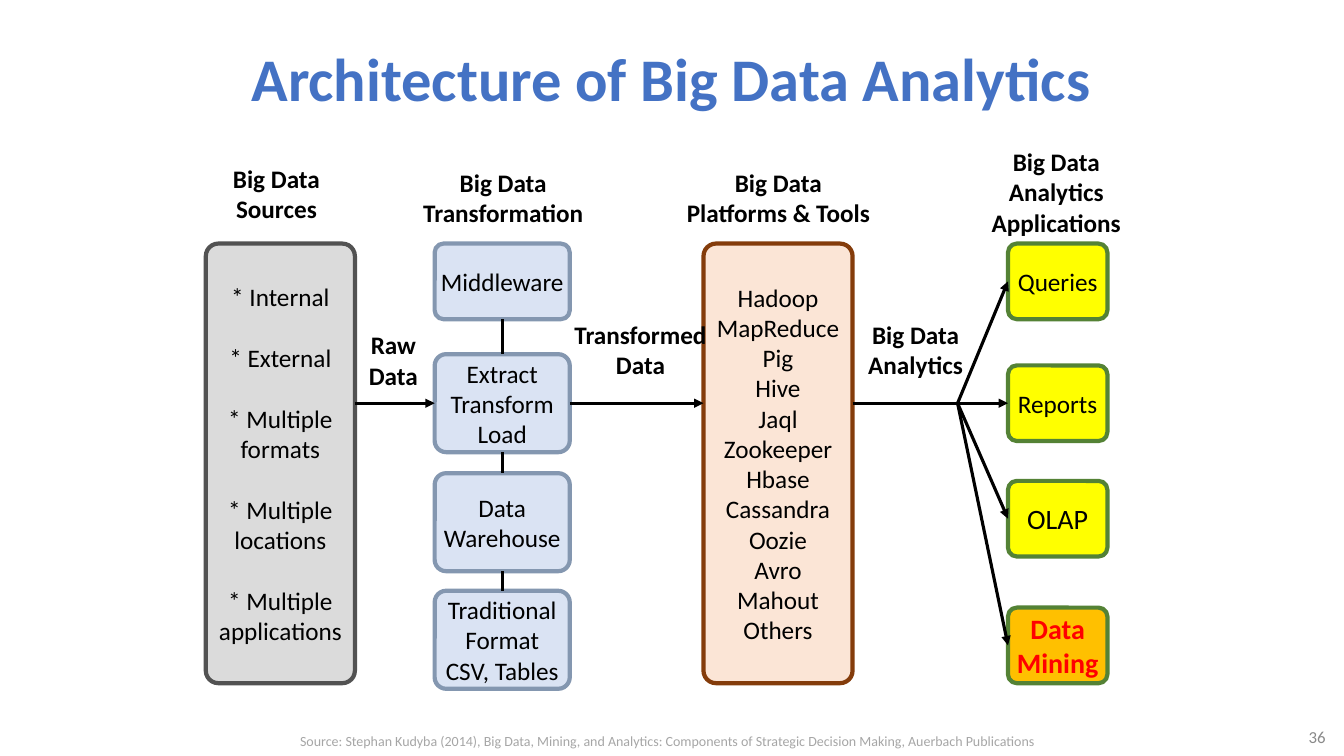
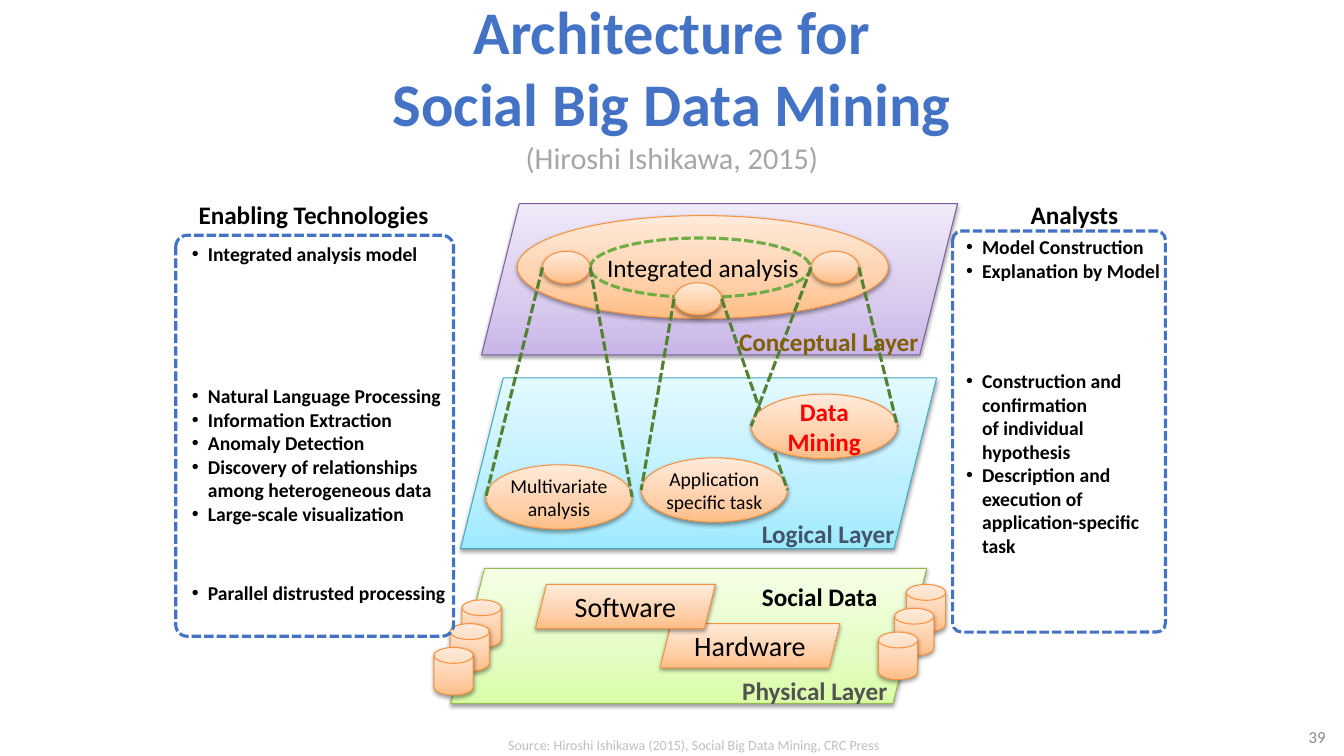
from copy import deepcopy

from pptx import Presentation
from pptx.dml.color import RGBColor
from pptx.enum import dml, shapes, text
from pptx.oxml import ns, xmlchemy
from pptx.util import Pt

FONT = "Calibri"
BLACK = RGBColor(0x00, 0x00, 0x00)
RED = RGBColor(0xFF, 0x00, 0x00)
BLUE = RGBColor(0x44, 0x72, 0xC4)
GREY = RGBColor(0xA6, 0xA6, 0xA6)
PALE_GREY = RGBColor(0xBF, 0xBF, 0xBF)
NUMBER_GREY = RGBColor(0x89, 0x89, 0x89)
DARK_GREY = RGBColor(0x52, 0x52, 0x52)
SILVER = RGBColor(0xDB, 0xDB, 0xDB)
PEACH = RGBColor(0xFB, 0xE5, 0xD6)
BROWN = RGBColor(0x84, 0x3C, 0x0B)
PALE_BLUE = RGBColor(0xDA, 0xE3, 0xF3)
STEEL = RGBColor(0x84, 0x97, 0xB0)
YELLOW = RGBColor(0xFF, 0xFF, 0x00)
AMBER = RGBColor(0xFF, 0xC0, 0x00)
GREEN = RGBColor(0x54, 0x82, 0x35)
LIGHT_GREEN = RGBColor(0x70, 0xAD, 0x47)
SLATE = RGBColor(0x44, 0x54, 0x6A)
OLIVE = RGBColor(0x80, 0x60, 0x00)

# Gradient themes: line colour, then the stops from bottom to top
STOP_POSITIONS = (0, 0.35, 1)
ORANGE_THEME = ("F69240", "FFBE86", "FFD0AA", "FFEBDB")
LIME_THEME = ("98B954", "DAFDA7", "E4FDC2", "F5FFE6")
PURPLE_THEME = ("7D60A0", "C9B5E8", "D9CBEE", "F0EAF9")
AQUA_THEME = ("46AAC5", "9EEAFF", "BBEFFF", "E4F9FF")

SHAPE = shapes.MSO_SHAPE
ALIGN = text.PP_ALIGN
MIDDLE = text.MSO_ANCHOR.MIDDLE
DASH = dml.MSO_LINE.SQUARE_DOT
TITLE_SIZE = 43.2
LINE_HEIGHT = 22  # one 18 pt line


# Text
def add_xml(parent, tag, **attributes):
    element = xmlchemy.OxmlElement(tag)
    for name, value in attributes.items():
        element.set(name, str(value))
    parent.append(element)
    return element


def add_runs(paragraph, content, size, color=BLACK, bold=False):
    for index, line in enumerate(content.split("\n")):
        if index:
            paragraph.add_line_break()
        run = paragraph.add_run()
        run.text = line
        font = run.font
        font.name, font.size, font.bold = FONT, Pt(size), bold
        font.color.rgb = color


def each_paragraph(frame, items):
    for index, item in enumerate(items):
        yield (frame.add_paragraph() if index else frame.paragraphs[0]), item


def set_margins(frame, margin=0):
    frame.margin_left = frame.margin_right = Pt(margin)
    frame.margin_top = frame.margin_bottom = Pt(margin)


def place(shape, box):
    shape.left, shape.top, shape.width, shape.height = map(Pt, box)


def add_label(slide, content, box, size=18, color=BLACK, bold=True,
              align=ALIGN.CENTER, wrap=False):
    frame = slide.shapes.add_textbox(*map(Pt, box)).text_frame
    frame.word_wrap = wrap
    paragraph = frame.paragraphs[0]
    paragraph.alignment = align
    add_runs(paragraph, content, size, color, bold)
    return frame


def add_bullets(placeholder, box, items):
    """Each item is (text, space before)."""
    place(placeholder, box)
    frame = placeholder.text_frame
    frame.auto_size = text.MSO_AUTO_SIZE.NONE
    frame.word_wrap = True
    set_margins(frame)
    for paragraph, (content, gap) in each_paragraph(frame, items):
        properties = paragraph._p.get_or_add_pPr()
        properties.set("marL", str(Pt(22.5)))
        properties.set("indent", str(Pt(-11.5)))
        add_xml(properties, "a:buFont", typeface="Arial")
        add_xml(properties, "a:buChar", char="•")
        paragraph.space_before = Pt(gap)
        add_runs(paragraph, content, 14, bold=True)


# Shapes
def add_block(slide, kind, box, fill=None, line=BLACK, width=3, radius=None):
    shape = slide.shapes.add_shape(kind, *map(Pt, box))
    shape.shadow.inherit = False
    if fill is None:
        shape.fill.background()
    else:
        shape.fill.solid()
        shape.fill.fore_color.rgb = fill
    shape.line.color.rgb = line
    shape.line.width = Pt(width)
    if radius is not None:
        shape.adjustments[0] = radius
    return shape


def fill_text(shape, items, size=18, color=BLACK, bold=False, gap=0):
    frame = shape.text_frame
    frame.word_wrap = True
    frame.vertical_anchor = MIDDLE
    set_margins(frame)
    for paragraph, content in each_paragraph(frame, items):
        paragraph.alignment = ALIGN.CENTER
        if gap and content != items[0]:
            paragraph.space_before = Pt(gap)
        add_runs(paragraph, content, size, color, bold)


def add_card(slide, box, items, fill, line, radius=0.117, **style):
    card = add_block(slide, SHAPE.ROUNDED_RECTANGLE, box, fill, line, radius=radius)
    fill_text(card, items, **style)
    return card


def add_glossy(slide, kind, box, theme=ORANGE_THEME, content=None, **style):
    line, *colors = map(RGBColor.from_string, theme)
    shape = add_block(slide, kind, box, None, line, 0.75)
    shape.fill.gradient()
    shape.fill.gradient_angle = 90
    properties = shape._element.spPr
    stop_list = properties.find(ns.qn("a:gradFill")).find(ns.qn("a:gsLst"))
    stop_list.append(deepcopy(stop_list[0]))
    for stop, color, position in zip(shape.fill.gradient_stops, colors, STOP_POSITIONS):
        stop.color.rgb = color
        stop.position = position
    shadow = add_xml(properties.find(ns.qn("a:effectLst")), "a:outerShdw",
                     blurRad=Pt(3.1), dist=Pt(1.6), dir=5400000, rotWithShape=0)
    add_xml(add_xml(shadow, "a:srgbClr", val="000000"), "a:alpha", val=38000)
    if content:
        fill_text(shape, [content], **style)
    return shape


def add_line(slide, start, end, color=BLACK, arrow=False, dash=None):
    """An end is either a point or a (shape, site) pair."""
    points = [(0, 0) if hasattr(spot[0], "shape_id") else spot for spot in (start, end)]
    connector = slide.shapes.add_connector(
        shapes.MSO_CONNECTOR.STRAIGHT, *map(Pt, points[0] + points[1]))
    if hasattr(start[0], "shape_id"):
        connector.begin_connect(*start)
    if hasattr(end[0], "shape_id"):
        connector.end_connect(*end)
    connector.line.color.rgb = color
    connector.line.width = Pt(2.25)
    if dash:
        connector.line.dash_style = dash
    if arrow:
        add_xml(connector.line._get_or_add_ln(), "a:tailEnd", type="triangle")
    add_xml(connector._element.spPr, "a:effectLst")


def add_projection(slide, node, task):
    """Dashed lines joining the left and the right edges of two ellipses."""
    for side in (0, 1):
        start, end = [((item.left + side * item.width) / Pt(1),
                       (item.top + item.height / 2) / Pt(1)) for item in (node, task)]
        add_line(slide, start, end, GREEN, dash=DASH)


# Shared slide parts
def add_slide(presentation, layout, title_box, title, subtitle, number,
              source, source_box, source_color):
    slide = presentation.slides.add_slide(presentation.slide_layouts[layout])
    heading = slide.shapes.title
    place(heading, title_box)
    frame = heading.text_frame
    frame.auto_size = text.MSO_AUTO_SIZE.NONE
    frame.vertical_anchor = MIDDLE
    paragraph = frame.paragraphs[0]
    paragraph.alignment = ALIGN.CENTER
    add_runs(paragraph, title, TITLE_SIZE, BLUE, True)
    if subtitle:
        paragraph.add_line_break()
        add_runs(paragraph, subtitle, TITLE_SIZE / 2, GREY)
    page = add_label(slide, number, (878.4, 517, 75.6, 18.7), 12, NUMBER_GREY,
                     False, ALIGN.RIGHT, True)
    page.vertical_anchor = MIDDLE
    add_label(slide, source, source_box, 10, source_color, False, wrap=True)
    return slide


def build_analytics_slide(presentation):
    slide = add_slide(
        presentation, 5, (156, 21.6, 647, 67), "Architecture of Big Data Analytics",
        None, "36",
        "Source: Stephan Kudyba (2014), Big Data, Mining, and Analytics: Components of "
        "Strategic Decision Making, Auerbach Publications", (176.5, 520, 600, 19.5), GREY)
    top, flow, tall = 174, 288, 314

    # Applications
    applications = [
        add_card(slide, (720, y, 71, 54), [name], fill, GREEN,
                 size=size, color=color, bold=color == RED)
        for name, y, fill, size, color in (
            ("Queries", top, YELLOW, 18, BLACK), ("Reports", flow - 27, YELLOW, 18, BLACK),
            ("OLAP", 343.5, YELLOW, 20, BLACK), ("Data Mining", 434, AMBER, 20, RED))]

    # Platforms and sources
    tools = ("Hadoop", "MapReduce", "Pig", "Hive", "Jaql", "Zookeeper", "Hbase",
             "Cassandra", "Oozie", "Avro", "Mahout", "Others")
    add_card(slide, (502.5, top, 106.5, tall), tools, PEACH, BROWN, 0.084)
    sources = ("* Internal", "* External", "* Multiple formats",
               "* Multiple locations", "* Multiple applications")
    add_card(slide, (147, top, 106.5, tall), sources, SILVER, DARK_GREY, 0.084,
             gap=LINE_HEIGHT)

    # Transformation chain
    steps = [add_card(slide, (310.5, y, 96.5, height), [name], PALE_BLUE, STEEL)
             for name, y, height in (
                 ("Middleware", top, 54), ("Extract Transform Load", flow - 35, 70),
                 ("Data Warehouse", 338, 70), ("Traditional Format\nCSV, Tables", 422, 70))]
    for upper, lower in zip(steps, steps[1:]):
        add_line(slide, (upper, 2), (lower, 0))

    # Flow arrows
    queries, reports, olap, mining = applications
    add_line(slide, (609, flow), (reports, 1), arrow=True)
    for application in (olap, mining, queries):
        add_line(slide, (684, flow), (application, 1), arrow=True)
    add_line(slide, (steps[1], 3), (502.5, flow), arrow=True)
    add_line(slide, (253.5, flow), (steps[1], 1), arrow=True)

    # Column and flow labels
    for content, x, y, width, height in (
            ("Big Data\nSources", 157, 113, 81, 51),
            ("Big Data\nTransformation", 294.5, 116, 130, 51),
            ("Big Data\nPlatforms & Tools", 482.5, 116, 147, 51),
            ("Big Data\nAnalytics\nApplications", 701, 101, 107, 73),
            ("Big Data\nAnalytics", 610.5, 224.5, 87, 51),
            ("Transformed\nData", 400.5, 224.5, 114, 51),
            ("Raw\nData", 255.5, 232, 51, 51)):
        add_label(slide, content, (x, y, width, height))


def build_mining_slide(presentation):
    slide = add_slide(
        presentation, 3, (156, -2, 648, 124.5),
        "Architecture for\nSocial Big Data Mining", "(Hiroshi Ishikawa, 2015)", "39",
        "Source: Hiroshi Ishikawa (2015), Social Big Data Mining, CRC Press",
        (315.5, 522.5, 360, 17.5), PALE_GREY)

    # Layers
    sheet = SHAPE.PARALLELOGRAM
    add_glossy(slide, sheet, (322, 406, 340, 96.5), LIME_THEME)
    for x, y in ((330, 428.5), (647.5, 417.5)):
        for shift, drop in ((0, 0), (8.5, 17), (20, 34)):
            add_glossy(slide, SHAPE.FLOWCHART_MAGNETIC_DISK, (x - shift, y + drop, 28, 34))
    add_glossy(slide, sheet, (344, 145.5, 340, 108), PURPLE_THEME)
    add_glossy(slide, sheet, (329, 270, 340, 122), AQUA_THEME)
    add_glossy(slide, sheet, (471.5, 445.5, 128.5, 31.5), content="Hardware", size=20)
    add_glossy(slide, sheet, (382.5, 417.5, 128.5, 31.5), content="Software", size=20)

    # Analysis tasks and the nodes they project to
    oval = SHAPE.OVAL
    add_glossy(slide, oval, (369.5, 154, 265, 73.5), content="Integrated analysis")
    multivariate, specific = [
        add_glossy(slide, oval, (x, y, 104.5, 46), content=name, size=14)
        for name, x, y in (("Multivariate analysis", 347, 332),
                           ("Application specific task", 458, 327))]
    ring = add_block(slide, oval, (421.5, 170, 157.5, 42.5), None, LIGHT_GREEN, 2.25)
    ring.line.dash_style = DASH
    right_node, middle_node, left_node = [
        add_glossy(slide, oval, (x, y, 34, 23))
        for x, y in ((579.5, 179.5), (481.5, 202), (387.5, 179.5))]
    add_projection(slide, left_node, multivariate)
    add_projection(slide, middle_node, specific)
    mining = add_glossy(slide, oval, (536.5, 281.5, 104.5, 46), content="Data\nMining",
                        color=RED, bold=True)
    add_projection(slide, right_node, mining)

    # Labels
    for content, x, y, width, color in (
            ("Social Data", 536.5, 412, 98, BLACK),
            ("Physical Layer", 522.5, 479, 119, DARK_GREY),
            ("Logical Layer", 536.5, 366.5, 110, SLATE),
            ("Conceptual Layer", 520.5, 229.5, 143, OLIVE),
            ("Enabling Technologies", 134, 139, 180, BLACK),
            ("Analysts", 728.5, 139, 78, BLACK)):
        add_label(slide, content, (x, y, width, 29), color=color)

    # Side lists in dashed frames
    technologies, analysts = list(slide.placeholders)[1:3]
    add_bullets(technologies, (126, 173, 198, 262), (
        ("Integrated analysis model", 0), ("Natural Language Processing", 84.5),
        ("Information Extraction", 0), ("Anomaly Detection", 0),
        ("Discovery of relationships\namong heterogeneous data", 0),
        ("Large-scale visualization", 0), ("Parallel distrusted processing", 39.5)))
    add_bullets(analysts, (679, 168, 156, 232), (
        ("Model Construction", 0), ("Explanation by Model", 0),
        ("Construction and\nconfirmation\nof individual\nhypothesis", 62),
        ("Description and\nexecution of\napplication-specific\ntask", 0)))
    for box in ((125.5, 168, 198.5, 286.5), (680.5, 165, 152, 286.5)):
        frame = add_block(slide, SHAPE.ROUNDED_RECTANGLE, box, None, BLUE, 2.25, 0.042)
        frame.line.dash_style = DASH


def main():
    presentation = Presentation()
    presentation.slide_width, presentation.slide_height = Pt(960), Pt(540)
    build_analytics_slide(presentation)
    build_mining_slide(presentation)
    presentation.save("out.pptx")


if __name__ == "__main__":
    main()
